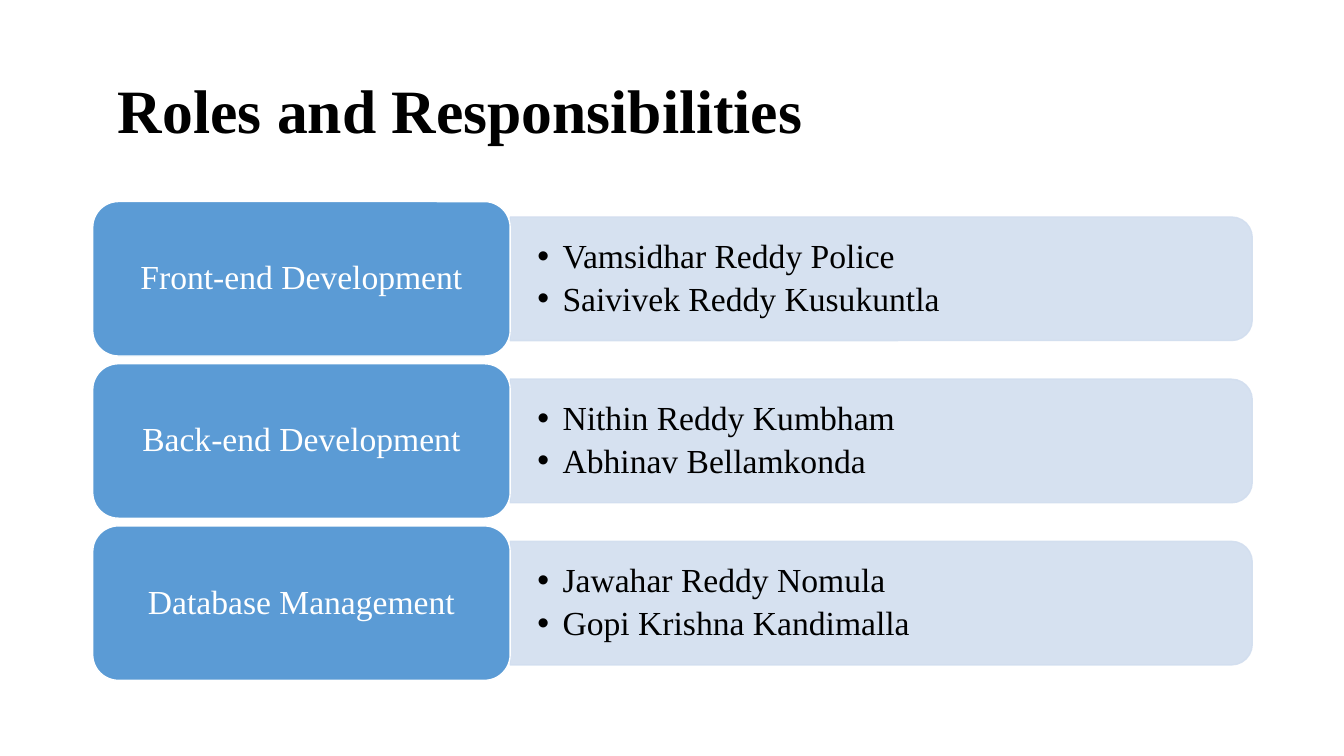
from lxml import etree
from pptx import Presentation
from pptx.dml.color import RGBColor
from pptx.enum.shapes import MSO_SHAPE
from pptx.enum.text import MSO_ANCHOR, PP_ALIGN
from pptx.oxml.ns import qn
from pptx.util import Inches, Pt

BLACK = RGBColor(0x00, 0x00, 0x00)
WHITE = RGBColor(0xFF, 0xFF, 0xFF)
BLUE = RGBColor(0x5B, 0x9B, 0xD5)
PALE_BLUE = RGBColor(0xD2, 0xDE, 0xEF)

ROUNDED = MSO_SHAPE.ROUNDED_RECTANGLE
ROUNDED_TOP = MSO_SHAPE.ROUND_2_SAME_RECTANGLE
MIDDLE = MSO_ANCHOR.MIDDLE
LEFT, CENTER = PP_ALIGN.LEFT, PP_ALIGN.CENTER

# Grid: 25 columns across, 62 rows down; a label is 20 rows high, a gap 1 row
GRID_LEFT, GRID_TOP = Inches(0.92), Inches(2)
COLUMN = Inches(11.5) / 25
ROW = Inches(4.75) / 62
LABEL_COLUMNS, NAME_COLUMNS = 9, 16
LABEL_ROWS, GAP_ROWS, BAND_ROWS = 20, 1, 16

ROLES = [
    ("Front-end Development", ["Vamsidhar Reddy Police", "Saivivek Reddy Kusukuntla"]),
    ("Back-end Development", ["Nithin Reddy Kumbham", "Abhinav Bellamkonda"]),
    ("Database Management", ["Jawahar Reddy Nomula", "Gopi Krishna Kandimalla"]),
]


def write_text(frame, lines, size=24, color=BLACK, bold=False, align=LEFT,
               space_after=0, bullet=False, inset=(0.1, 0.05)):
    """Fill a text frame with one paragraph per line."""
    frame.word_wrap = True
    frame.vertical_anchor = MIDDLE
    frame.margin_left = frame.margin_right = Inches(inset[0])
    frame.margin_top = frame.margin_bottom = Inches(inset[1])
    for index, line in enumerate(lines):
        paragraph = frame.add_paragraph() if index else frame.paragraphs[0]
        paragraph.alignment = align
        paragraph.line_spacing = 0.9
        paragraph.space_after = Pt(space_after)
        run = paragraph.add_run()
        run.text = line
        run.font.name = "Times New Roman"
        run.font.size = Pt(size)
        run.font.bold = bold
        run.font.color.rgb = color
        if bullet:
            properties = paragraph._p.get_or_add_pPr()
            properties.set("marL", str(Inches(0.25)))
            properties.set("indent", str(-Inches(0.25)))
            etree.SubElement(properties, qn("a:buFont"), typeface="Arial")
            etree.SubElement(properties, qn("a:buChar"), char="•")


class RolesSlide:
    def __init__(self, presentation):
        self.slide = presentation.slides.add_slide(presentation.slide_layouts[5])

    def place(self, column, row, columns, rows):
        """Turn grid units into left, top, width and height."""
        return (round(GRID_LEFT + column * COLUMN), round(GRID_TOP + row * ROW),
                round(columns * COLUMN), round(rows * ROW))

    def title(self, text):
        title = self.slide.shapes.title
        title.left, title.top = GRID_LEFT, Inches(0.4)
        title.width, title.height = Inches(11.5), Inches(1.45)
        write_text(title.text_frame, [text], size=44, bold=True, inset=(0.25, 0.05))

    def box(self, kind, box, fill, line):
        shape = self.slide.shapes.add_shape(kind, *box)
        shape.shadow.inherit = False
        shape.fill.solid()
        shape.fill.fore_color.rgb = fill
        shape.line.color.rgb = line
        shape.line.width = Pt(1)
        return shape

    def band(self, row):
        """Lay a top-rounded shape on its side, so its right end is rounded."""
        left, top, width, height = self.place(LABEL_COLUMNS, row, NAME_COLUMNS, BAND_ROWS)
        shift = (width - height) // 2
        band = self.box(ROUNDED_TOP, (left + shift, top - shift, height, width),
                        PALE_BLUE, PALE_BLUE)
        band.rotation = 90
        for color in band._element.spPr.iter(qn("a:srgbClr")):
            etree.SubElement(color, qn("a:alpha"), val="90000")

    def names(self, row, names):
        box = self.place(LABEL_COLUMNS, row, NAME_COLUMNS, BAND_ROWS)
        frame = self.slide.shapes.add_textbox(*box).text_frame
        write_text(frame, names, bullet=True, space_after=4.5, inset=(0.27, 0.14))

    def label(self, row, text):
        label = self.box(ROUNDED, self.place(0, row, LABEL_COLUMNS, LABEL_ROWS), BLUE, WHITE)
        write_text(label.text_frame, [text], color=WHITE, align=CENTER)


presentation = Presentation()
presentation.slide_width, presentation.slide_height = Inches(13.33), Inches(7.5)
roles_slide = RolesSlide(presentation)

# Heading
roles_slide.title("Roles and Responsibilities")

# One band of names and one label per role
for index, (role, people) in enumerate(ROLES):
    row = index * (LABEL_ROWS + GAP_ROWS)
    band_row = row + (LABEL_ROWS - BAND_ROWS) / 2
    roles_slide.band(band_row)
    roles_slide.names(band_row, people)
    roles_slide.label(row, role)

presentation.save("out.pptx")
